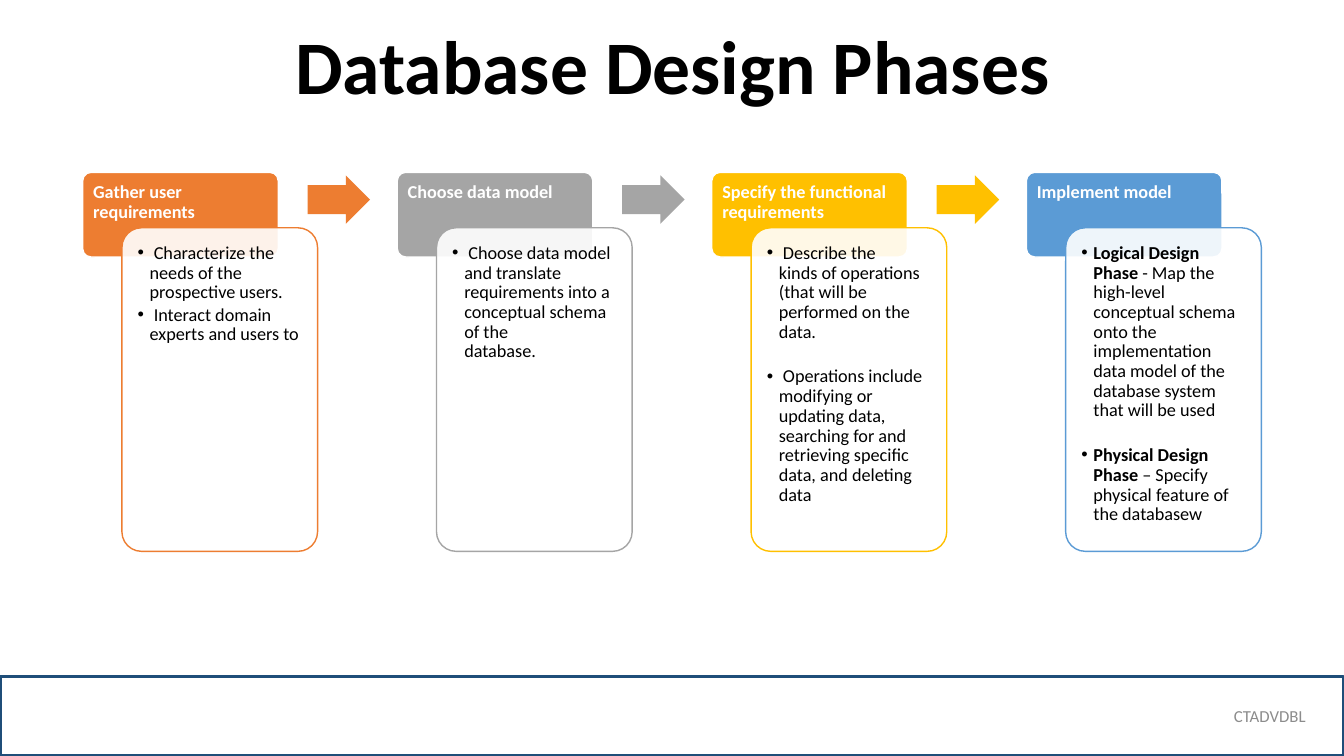
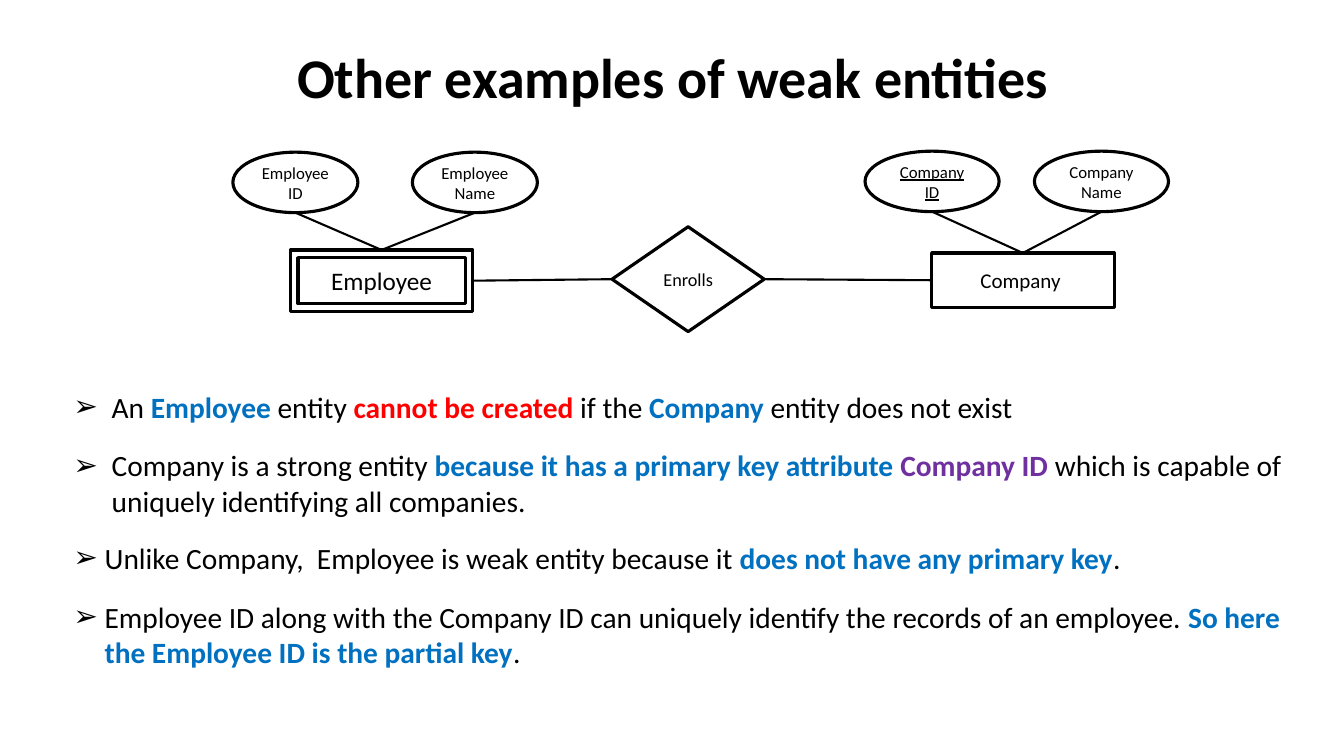
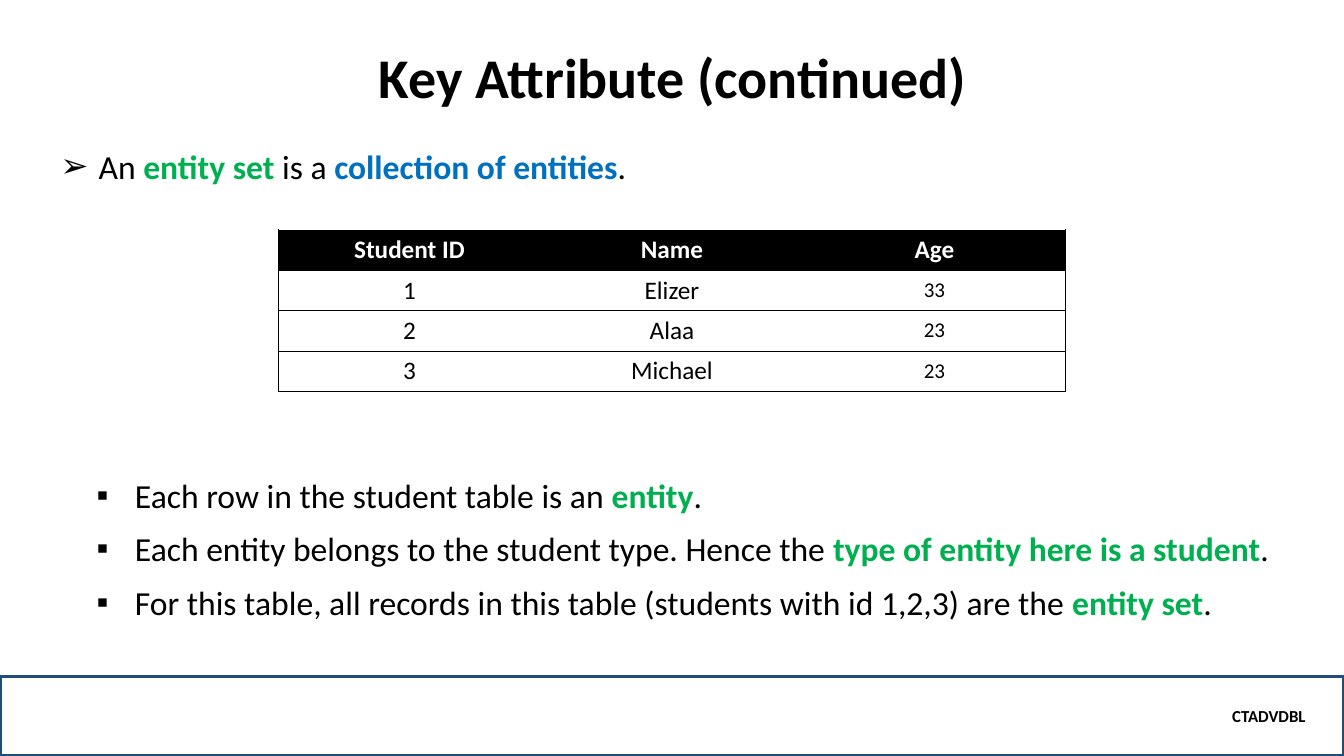
import pptx
import pptx.dml.color
import pptx.enum.shapes
import pptx.enum.text
import pptx.oxml
import pptx.oxml.ns
import pptx.util

Inches = pptx.util.Inches
Pt = pptx.util.Pt
SHAPE = pptx.enum.shapes.MSO_SHAPE
ALIGN = pptx.enum.text.PP_ALIGN
ANCHOR = pptx.enum.text.MSO_ANCHOR

FONT = "Calibri"
BLACK, WHITE, GREY = "000000", "FFFFFF", "8C8C8C"
BLUE, RED, PURPLE, GREEN = "0070C0", "FF0000", "7030A0", "00B050"
FOOTER_LINE = "1F4E79"
SLIDE_WIDTH, SLIDE_HEIGHT = 13.33, 7.5
TITLE_BOX = (1.67, 0.21, 10, 0.94)
FOOTER_BOX = (0, 6.71, SLIDE_WIDTH, 0.79)


def colour(value):
    return pptx.dml.color.RGBColor.from_string(value)


def inches(*lengths):
    return [Inches(length) for length in lengths]


def xml(tag, attributes="", inner=""):
    namespace = pptx.oxml.ns.nsdecls("a")
    return pptx.oxml.parse_xml(f"<a:{tag} {namespace} {attributes}>{inner}</a:{tag}>")


def solid(value):
    return f'<a:solidFill><a:srgbClr val="{value}"/></a:solidFill>'


def add_text(paragraph, parts, size, text_colour=BLACK, bold=False, underline=False):
    for part in parts:
        text, run_colour, run_bold = (part, text_colour, bold) if isinstance(part, str) else (*part, True)
        for index, line in enumerate(text.split("\n")):
            if index:
                paragraph.add_line_break()
            run = paragraph.add_run()
            run.text = line
            run.font.name = FONT
            run.font.size = Pt(size)
            run.font.bold = run_bold
            run.font.underline = underline
            run.font.color.rgb = colour(run_colour)


def add_bullet(paragraph, mark, indent):
    properties = paragraph._p.get_or_add_pPr()
    properties.set("marL", str(Inches(indent)))
    properties.set("indent", str(-Inches(indent)))
    properties.append(xml("buFont", 'typeface="Arial"'))
    properties.append(xml("buChar", f'char="{mark}"'))


def set_frame(frame, anchor, margins=(0.1, 0.05, 0.1, 0.05)):
    frame.word_wrap = True
    frame.vertical_anchor = anchor
    frame.margin_left, frame.margin_top, frame.margin_right, frame.margin_bottom = inches(*margins)


def add_box(slide, kind, box, fill=None, line=None, width=2.25):
    shape = slide.shapes.add_shape(kind, *inches(*box))
    shape.shadow.inherit = False
    if fill:
        shape.fill.solid()
        shape.fill.fore_color.rgb = colour(fill)
    else:
        shape.fill.background()
    if line:
        shape.line.color.rgb = colour(line)
        shape.line.width = Pt(width)
    else:
        shape.line.fill.background()
    return shape


def add_title(slide, text, size=40):
    frame = slide.shapes.add_textbox(*inches(*TITLE_BOX)).text_frame
    set_frame(frame, ANCHOR.BOTTOM)
    paragraph = frame.paragraphs[0]
    paragraph.alignment = ALIGN.CENTER
    paragraph.line_spacing = 0.9
    add_text(paragraph, [text], size, bold=True)


def add_footer(slide, text_colour, bold):
    frame = add_box(slide, SHAPE.RECTANGLE, FOOTER_BOX, line=FOOTER_LINE).text_frame
    set_frame(frame, ANCHOR.MIDDLE, (0.1, 0.05, 0.38, 0.05))
    frame.paragraphs[0].alignment = ALIGN.RIGHT
    add_text(frame.paragraphs[0], ["CTADVDBL"], 12, text_colour, bold)


def add_statement(slide, box, mark, indent, size, parts):
    frame = slide.shapes.add_textbox(*inches(*box)).text_frame
    set_frame(frame, ANCHOR.TOP)
    add_bullet(frame.paragraphs[0], mark, indent)
    add_text(frame.paragraphs[0], parts, size)


def add_phase(slide, left, top, accent, heading, items, gap):
    head = add_box(slide, SHAPE.ROUNDED_RECTANGLE, (left, top, 1.94, 0.84), accent, WHITE, 1)
    head.adjustments[0] = 0.1
    set_frame(head.text_frame, ANCHOR.TOP, (0.08, 0.08, 0.08, 0.05))
    paragraph = head.text_frame.paragraphs[0]
    paragraph.alignment = ALIGN.LEFT
    paragraph.line_spacing = 0.9
    add_text(paragraph, [heading], 13, WHITE, True)

    body = add_box(slide, SHAPE.ROUNDED_RECTANGLE, (left + 0.39, top + 0.55, 1.94, 3.21), WHITE, accent, 1)
    body.adjustments[0] = 0.1
    fill_colour = body._element.spPr.find(pptx.oxml.ns.qn("a:solidFill"))[0]
    fill_colour.append(xml("alpha", 'val="90000"'))
    frame = body.text_frame
    set_frame(frame, ANCHOR.TOP, (0.1, 0.1, 0.1, 0.1))
    for index, parts in enumerate(items):
        paragraph = frame.add_paragraph() if index else frame.paragraphs[0]
        paragraph.alignment = ALIGN.LEFT
        paragraph.line_spacing = 0.9
        paragraph.space_before = Pt(gap if index else 0)
        paragraph.space_after = Pt(2)
        add_bullet(paragraph, "•", 0.12)
        add_text(paragraph, parts, 13)


def add_phase_arrow(slide, left, top, accent):
    arrow = add_box(slide, SHAPE.RIGHT_ARROW, (left, top, 0.62, 0.48), accent)
    arrow.adjustments[0] = 0.6
    arrow.adjustments[1] = 0.5


def build_phases(slide):
    add_title(slide, "Database Design Phases", 54)
    add_footer(slide, GREY, False)
    phases = [
        ("ED7D31", "Gather user requirements", 0, [
            [" Characterize the needs of the\nprospective users."],
            [" Interact domain experts and users to"]]),
        ("A5A5A5", "Choose data model", 0, [
            [" Choose data model and translate requirements into a conceptual schema of the\ndatabase."]]),
        ("FFC000", "Specify the functional requirements", 16, [
            [" Describe the\nkinds of operations (that will be performed on the data."],
            [" Operations include modifying or updating data, searching for and retrieving "
             "specific data, and deleting data"]]),
        ("5B9BD5", "Implement model", 16, [
            [("Logical Design Phase ", BLACK),
             "- Map the high-level conceptual schema\nonto the implementation data model "
             "of the database system that will be used"],
            [("Physical Design Phase ", BLACK), "– Specify physical feature of the databasew"]]),
    ]
    for index, (accent, heading, gap, items) in enumerate(phases):
        left = 0.82 + 3.12 * index
        add_phase(slide, left, 1.71, accent, heading, items, gap)
        if index < len(phases) - 1:
            add_phase_arrow(slide, left + 2.23, 1.74, accent)


def add_node(slide, kind, box, text, size, underline=False):
    shape = add_box(slide, kind, box, WHITE, BLACK)
    margins = (0, 0, 0, 0) if kind == SHAPE.FRAME else (0.1, 0.05, 0.1, 0.05)
    set_frame(shape.text_frame, ANCHOR.MIDDLE, margins)
    shape.text_frame.paragraphs[0].alignment = ALIGN.CENTER
    add_text(shape.text_frame.paragraphs[0], [text], size, underline=underline)
    return shape


def add_link(slide, start, target, side):
    straight = pptx.enum.shapes.MSO_CONNECTOR.STRAIGHT
    link = slide.shapes.add_connector(straight, *start, *start)
    link.end_connect(target, side)
    link.line.color.rgb = colour(BLACK)
    link.line.width = Pt(1.5)
    link._element.spPr.append(xml("effectLst"))
    return link


def add_entity(slide, kind, box, text, size, attributes):
    entity = add_node(slide, kind, box, text, size)
    for label, left, top, width, underline in attributes:
        oval = add_node(slide, SHAPE.OVAL, (left, top, width, 0.6), label, 12, underline)
        bottom = (oval.left + oval.width // 2, oval.top + oval.height)
        add_link(slide, bottom, entity, 0)
    return entity


def build_weak_entities(slide):
    add_title(slide, "Other examples of weak entities")
    employee = add_entity(slide, SHAPE.FRAME, (2.88, 2.48, 1.81, 0.61), "Employee", 18, [
        ("Employee ID", 2.31, 1.51, 1.24, False),
        ("Employee Name", 4.09, 1.51, 1.24, False)])
    company = add_entity(slide, SHAPE.RECTANGLE, (9.24, 2.51, 1.81, 0.54), "Company ", 15, [
        ("Company ID", 8.58, 1.5, 1.33, True),
        ("Company Name", 10.26, 1.5, 1.33, False)])
    enrolls = add_node(slide, SHAPE.DIAMOND, (6.07, 2.25, 1.51, 1.04), "Enrolls", 13)
    for entity, entity_side, diamond_side in ((employee, 3, 1), (company, 1, 3)):
        link = add_link(slide, (0, 0), enrolls, diamond_side)
        link.begin_connect(entity, entity_side)

    statements = [
        (3.81, 12.34, 0.45, 0.38, [
            "An ", ("Employee", BLUE), " entity ", ("cannot be created ", RED),
            "if the ", ("Company", BLUE), " entity does not exist"]),
        (4.39, 12.34, 0.81, 0.38, [
            "Company is a strong entity ",
            ("because it has a primary key attribute ", BLUE), ("Company ID ", PURPLE),
            "which is capable of uniquely identifying all companies."]),
        (5.31, 12.11, 0.45, 0.31, [
            "Unlike Company,  Employee is weak entity because it ",
            ("does not have any primary key", BLUE), "."]),
        (5.89, 12.26, 0.81, 0.31, [
            "Employee ID along with the Company ID can uniquely identify the records of an employee. ",
            ("So here the Employee ID is the partial key", BLUE), "."]),
    ]
    for top, width, height, indent, parts in statements:
        add_statement(slide, (0.63, top, width, height), "➢", indent, 21, parts)


def set_borders(cell, visible):
    properties = cell._tc.get_or_add_tcPr()
    for position, side in enumerate("LRTB"):
        if side in visible:
            border = xml(f"ln{side}", 'w="6350"', solid(BLACK))
        else:
            border = xml(f"ln{side}", 'w="0"', "<a:noFill/>")
        properties.insert(position, border)


def add_student_table(slide, box, rows):
    columns = len(rows[0])
    table = slide.shapes.add_table(len(rows), columns, *inches(*box)).table
    table.horz_banding = False
    for row_index, row in enumerate(rows):
        header = row_index == 0
        table.rows[row_index].height = Inches(box[3] / len(rows))
        for column_index, text in enumerate(row):
            last = column_index == columns - 1
            cell = table.cell(row_index, column_index)
            cell.fill.solid()
            cell.fill.fore_color.rgb = colour(BLACK if header else WHITE)
            set_borders(cell, "TB" + "L" * (column_index == 0) + "R" * last)
            cell.vertical_anchor = ANCHOR.MIDDLE
            paragraph = cell.text_frame.paragraphs[0]
            paragraph.alignment = ALIGN.CENTER
            size = 15 if last and not header else 18
            add_text(paragraph, [text], size, WHITE if header else BLACK, header)


def build_key_attribute(slide):
    add_title(slide, "Key Attribute (continued)")
    add_footer(slide, BLACK, True)
    add_statement(slide, (0.5, 1.4, 12.34, 0.5), "➢", 0.38, 24, [
        "An", (" entity set", GREEN), " is a ", ("collection of entities", BLUE), "."])
    add_student_table(slide, (2.76, 2.28, 7.81, 1.6), [
        ("Student ID", "Name", "Age"),
        ("1", "Elizer", "33"),
        ("2", "Alaa", "23"),
        ("3", "Michael", "23")])
    conclusions = [
        ("Each row in the student table is an ", "entity"),
        ("Each entity belongs to the student type. Hence the ", "type of entity here is a student"),
        ("For this table, all records in this table (students with id 1,2,3) are the ", "entity set"),
    ]
    for index, (text, emphasis) in enumerate(conclusions):
        box = (0.86, 4.66 + 0.53 * index, 12.19, 0.5)
        add_statement(slide, box, "▪", 0.38, 24, [text, (emphasis, GREEN), "."])


def main():
    presentation = pptx.Presentation()
    presentation.slide_width, presentation.slide_height = inches(SLIDE_WIDTH, SLIDE_HEIGHT)
    for build in (build_phases, build_weak_entities, build_key_attribute):
        build(presentation.slides.add_slide(presentation.slide_layouts[6]))
    presentation.save("out.pptx")


if __name__ == "__main__":
    main()
